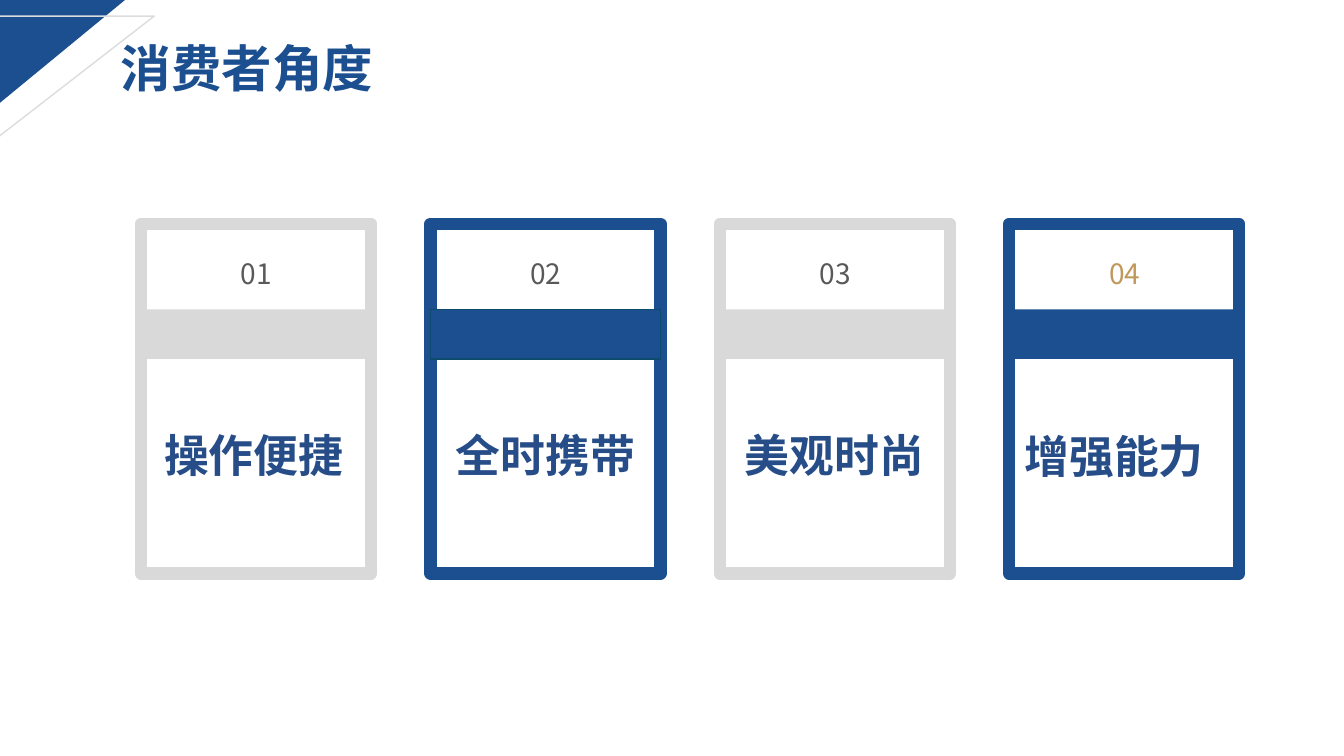
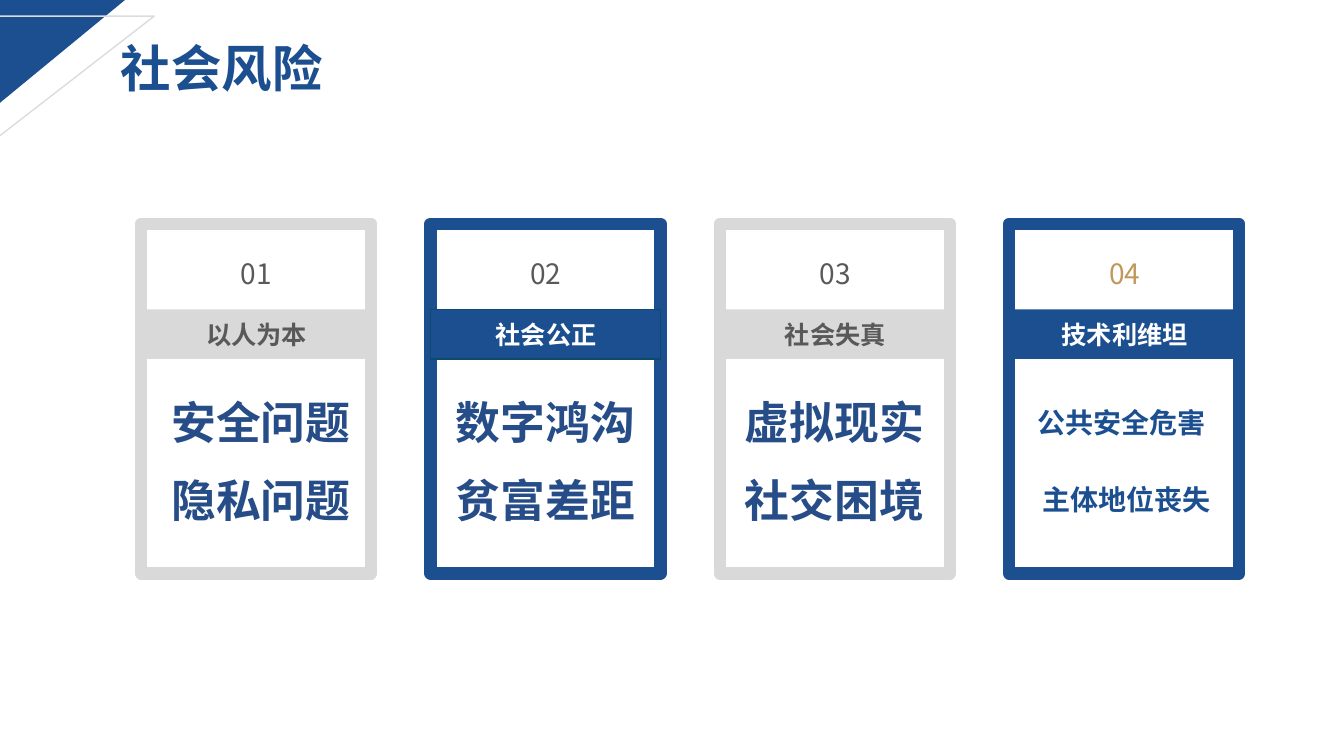
from dataclasses import dataclass
from typing import Optional

from lxml.etree import SubElement
from pptx import Presentation
from pptx.dml.color import RGBColor
from pptx.enum.shapes import MSO_SHAPE as Preset
from pptx.enum.text import MSO_AUTO_SIZE as AutoSize, PP_ALIGN as Align
from pptx.oxml.ns import qn
from pptx.shapes.autoshape import Shape
from pptx.slide import Slide
from pptx.util import Inches, Pt

FONT = "Noto Sans CJK SC"
COLORS = {
    "blue": "1C4F90",
    "body": "264D88",
    "band_edge": "0C4B6B",
    "grey": "D9D9D9",
    "outline": "DCDCDC",
    "text": "595959",
    "gold": "C0985A",
    "white": "FFFFFF",
}

# Card grid
CARD_LEFT, CARD_PITCH = 1.4, 2.87
CARD_TOP, CARD_WIDTH, CARD_HEIGHT = 2.22, 2.28, 3.47
BAND_TOP, BAND_HEIGHT = 3.07, 0.49


@dataclass(frozen=True)
class Box:
    left: float
    top: float
    width: float
    height: float


@dataclass(frozen=True)
class TextStyle:
    size: int
    color: str
    bold: bool = True
    align: Align = Align.LEFT
    wrap: bool = True
    inset_x: float = 0.1
    inset_y: float = 0.05


@dataclass(frozen=True)
class CardStyle:
    frame: str
    heading: str
    number: str = "text"
    band_edge: Optional[str] = None


@dataclass(frozen=True)
class Label:
    text: str
    box: Box
    style: TextStyle


@dataclass(frozen=True)
class SlideContent:
    title: str
    headings: tuple[str, ...]
    labels: tuple[Label, ...]


TITLE = TextStyle(36, "blue")
LARGE = TextStyle(32, "body", wrap=False)
LARGE_JUSTIFIED = TextStyle(32, "body", align=Align.JUSTIFY, inset_x=0.07, inset_y=0.04)
SMALL_JUSTIFIED = TextStyle(20, "blue", align=Align.JUSTIFY, inset_x=0.07, inset_y=0.04)

CARDS = (
    CardStyle("grey", "text"),
    CardStyle("blue", "white", band_edge="band_edge"),
    CardStyle("grey", "text"),
    CardStyle("blue", "white", number="gold"),
)


def large(text: str, left: float, top: float) -> Label:
    return Label(text, Box(left, top, 1.99, 0.64), LARGE)


def small(text: str, left: float, top: float) -> Label:
    return Label(text, Box(left, top, 1.87, 0.41), SMALL_JUSTIFIED)


SLIDES = (
    SlideContent("消费者角度", (), (
        large("操作便捷", 1.53, 4.19),
        large("全时携带", 4.42, 4.19),
        large("美观时尚", 7.29, 4.19),
        Label("增强能力", Box(10.09, 4.21, 2.13, 0.61), LARGE_JUSTIFIED),
    )),
    SlideContent("社会风险", ("以人为本", "社会公正", "社会失真", "技术利维坦"), (
        large("安全问题", 1.6, 3.87),
        large("隐私问题", 1.6, 4.64),
        large("数字鸿沟", 4.42, 3.87),
        large("贫富差距", 4.42, 4.64),
        large("虚拟现实", 7.29, 3.87),
        large("社交困境", 7.29, 4.64),
        small("公共安全危害", 10.22, 3.98),
        small("主体地位丧失", 10.27, 4.75),
    )),
)


def rgb(name: str) -> RGBColor:
    return RGBColor.from_string(COLORS[name])


def add_preset(slide: Slide, preset: Preset, box: Box, fill: Optional[str] = None,
               line: Optional[str] = None, line_width: float = 1) -> Shape:
    shape = slide.shapes.add_shape(preset, Inches(box.left), Inches(box.top),
                                   Inches(box.width), Inches(box.height))
    shape.shadow.inherit = False
    if fill:
        shape.fill.solid()
        shape.fill.fore_color.rgb = rgb(fill)
    else:
        shape.fill.background()
    if line:
        shape.line.color.rgb = rgb(line)
        shape.line.width = Pt(line_width)
    else:
        shape.line.fill.background()
    return shape


def add_text(slide: Slide, text: str, box: Box, style: TextStyle) -> None:
    shape = slide.shapes.add_textbox(Inches(box.left), Inches(box.top),
                                     Inches(box.width), Inches(box.height))
    frame = shape.text_frame
    frame.word_wrap = style.wrap
    frame.auto_size = AutoSize.SHAPE_TO_FIT_TEXT
    frame.margin_left = frame.margin_right = Inches(style.inset_x)
    frame.margin_top = frame.margin_bottom = Inches(style.inset_y)
    paragraph = frame.paragraphs[0]
    paragraph.text = text
    paragraph.alignment = style.align
    font = paragraph.font
    font.name = FONT
    font.size = Pt(style.size)
    font.bold = style.bold
    font.color.rgb = rgb(style.color)
    # Chinese characters take the East Asian typeface
    properties = paragraph._p.get_or_add_pPr().get_or_add_defRPr()
    SubElement(properties, qn("a:ea")).set("typeface", FONT)


def add_card(slide: Slide, index: int, style: CardStyle, heading: str) -> None:
    left = CARD_LEFT + index * CARD_PITCH
    add_preset(slide, Preset.RECTANGLE, Box(left, CARD_TOP, CARD_WIDTH, CARD_HEIGHT),
               line=style.frame, line_width=8.75)
    add_preset(slide, Preset.RECTANGLE, Box(left, BAND_TOP, CARD_WIDTH, BAND_HEIGHT),
               fill=style.frame, line=style.band_edge)
    if heading:
        add_text(slide, heading, Box(left + 0.27, 3.12, 1.75, 0.4),
                 TextStyle(18, style.heading, align=Align.CENTER))
    add_text(slide, f"{index + 1:02}", Box(left + 0.56, 2.5, 1.17, 0.44),
             TextStyle(20, style.number, bold=False, align=Align.CENTER))


def add_header(slide: Slide, title: str) -> None:
    triangles = (
        add_preset(slide, Preset.RIGHT_TRIANGLE, Box(0, 0, 1.24, 1.02), fill="blue"),
        add_preset(slide, Preset.RIGHT_TRIANGLE, Box(-0.25, 0.16, 1.78, 1.38), line="outline"),
    )
    for triangle in triangles:
        triangle._element.spPr.get_or_add_xfrm().set("flipV", "1")
    add_text(slide, title, Box(1.1, 0.32, 4.88, 0.71), TITLE)


def main() -> None:
    presentation = Presentation()
    presentation.slide_width = Inches(13.33)
    presentation.slide_height = Inches(7.5)
    blank_layout = presentation.slide_layouts[6]
    for content in SLIDES:
        slide = presentation.slides.add_slide(blank_layout)
        headings = content.headings or ("",) * len(CARDS)
        for index, (style, heading) in enumerate(zip(CARDS, headings)):
            add_card(slide, index, style, heading)
        add_header(slide, content.title)
        for label in content.labels:
            add_text(slide, label.text, label.box, label.style)
    presentation.save("out.pptx")


if __name__ == "__main__":
    main()
